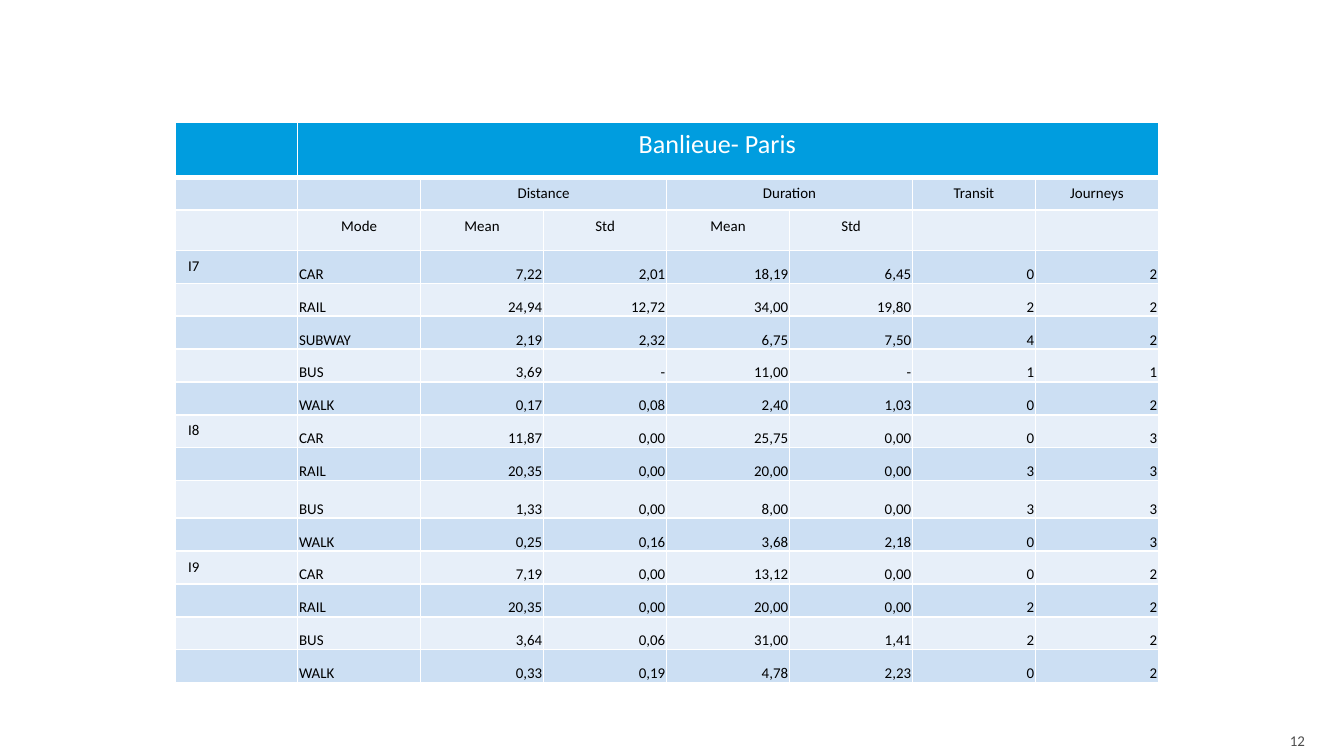
import pptx
import pptx.util
import pptx.dml.color
import pptx.enum.text
import pptx.oxml.ns
import lxml.etree

Inches = pptx.util.Inches
Pt = pptx.util.Pt
ALIGN = pptx.enum.text.PP_ALIGN
ANCHOR = pptx.enum.text.MSO_ANCHOR
qn = pptx.oxml.ns.qn

COLORS = {
    "header": "009DDF",
    "band_dark": "CCDFF3",
    "band_light": "E7EFF9",
    "white": "FFFFFF",
    "text": "000000",
    "page": "4E4E4E",
}

TITLE = "Banlieue- Paris"
GROUPS = ["", "", "Distance", "", "Duration", "", "Transit", "Journeys"]
MEASURES = ["", "Mode", "Mean", "Std", "Mean", "Std", "", ""]
TRIPS = {
    "I7": [
        ["CAR", "7,22", "2,01", "18,19", "6,45", "0", "2"],
        ["RAIL", "24,94", "12,72", "34,00", "19,80", "2", "2"],
        ["SUBWAY", "2,19", "2,32", "6,75", "7,50", "4", "2"],
        ["BUS", "3,69", "-", "11,00", "-", "1", "1"],
        ["WALK", "0,17", "0,08", "2,40", "1,03", "0", "2"],
    ],
    "I8": [
        ["CAR", "11,87", "0,00", "25,75", "0,00", "0", "3"],
        ["RAIL", "20,35", "0,00", "20,00", "0,00", "3", "3"],
        ["BUS", "1,33", "0,00", "8,00", "0,00", "3", "3"],
        ["WALK", "0,25", "0,16", "3,68", "2,18", "0", "3"],
    ],
    "I9": [
        ["CAR", "7,19", "0,00", "13,12", "0,00", "0", "2"],
        ["RAIL", "20,35", "0,00", "20,00", "0,00", "2", "2"],
        ["BUS", "3,64", "0,06", "31,00", "1,41", "2", "2"],
        ["WALK", "0,33", "0,19", "4,78", "2,23", "0", "2"],
    ],
}
SLIDE_WIDTH = 10
SLIDE_HEIGHT = SLIDE_WIDTH * 9 / 16
TABLE_WIDTH, TABLE_HEIGHT = 7.32, 4.17
SPECIAL_HEIGHTS = {0: 0.41, 2: 0.3, 10: 0.28}


class SlideWriter:
    font_name = "Calibri"

    def __init__(self, slide):
        self.slide = slide

    def style(self, paragraph, size, color, align):
        paragraph.alignment = align
        paragraph.font.name = self.font_name
        paragraph.font.size = Pt(size)
        paragraph.font.color.rgb = pptx.dml.color.RGBColor.from_string(COLORS[color])

    def text(self, words, left, top, width, height, size, color):
        frame = self.slide.shapes.add_textbox(
            Inches(left), Inches(top), Inches(width), Inches(height)
        ).text_frame
        frame.word_wrap = True
        frame.vertical_anchor = ANCHOR.MIDDLE
        frame.margin_right = 0
        frame.text = words
        self.style(frame.paragraphs[0], size, color, ALIGN.RIGHT)

    def table(self, left, top, width, height, row_count, column_count, special_heights):
        table = self.slide.shapes.add_table(
            row_count, column_count, Inches(left), Inches(top), Inches(width), Inches(height)
        ).table
        table.first_row = table.horz_banding = False
        regular = (height - sum(special_heights.values())) / (row_count - len(special_heights))
        for index, row in enumerate(table.rows):
            row.height = Inches(special_heights.get(index, regular))
        for column in table.columns:
            column.width = Inches(width / column_count)
        return table

    def borders(self, cell, bottom, top):
        properties = cell._tc.get_or_add_tcPr()
        for side, weight in (("L", 1), ("R", 1), ("T", top), ("B", bottom)):
            line = lxml.etree.SubElement(properties, qn(f"a:ln{side}"), w=str(Pt(weight)))
            fill = lxml.etree.SubElement(line, qn("a:solidFill"))
            lxml.etree.SubElement(fill, qn("a:srgbClr"), val=COLORS["white"])

    def cell(self, cell, words, fill, align, size=8, color="text", bottom=1, top=1):
        self.borders(cell, bottom, top)
        cell.fill.solid()
        cell.fill.fore_color.rgb = pptx.dml.color.RGBColor.from_string(COLORS[fill])
        cell.text = words
        paragraph = cell.text_frame.paragraphs[0]
        self.style(paragraph, size, color, align)
        if not words:
            lxml.etree.SubElement(paragraph._p, qn("a:endParaRPr"), sz=str(size * 100))

    def value(self, cell, words, fill, align):
        self.cell(cell, words, fill, align)
        cell.vertical_anchor = ANCHOR.BOTTOM
        cell.margin_left = cell.margin_right = cell.margin_top = Inches(0.01)
        cell.margin_bottom = 0


def main():
    presentation = pptx.Presentation()
    presentation.slide_width = Inches(SLIDE_WIDTH)
    presentation.slide_height = Inches(SLIDE_HEIGHT)
    writer = SlideWriter(presentation.slides.add_slide(presentation.slide_layouts[6]))
    writer.text("12", 8.8, 5.39, 0.91, 0.24, 8, "page")

    trip_rows = [
        [trip if index == 0 else "", *values]
        for trip, modes in TRIPS.items()
        for index, values in enumerate(modes)
    ]
    heading_rows = [["", TITLE] + [""] * 6, GROUPS, MEASURES]
    rows = heading_rows + trip_rows
    table = writer.table(
        1.3, 0.91, TABLE_WIDTH, TABLE_HEIGHT, len(rows), len(GROUPS), SPECIAL_HEIGHTS
    )

    for row, entries in enumerate(rows):
        band = "band_dark" if row % 2 else "band_light"
        for column, words in enumerate(entries):
            cell = table.cell(row, column)
            if row == 0:
                size = 14 if words else 18
                writer.cell(cell, words, "header", ALIGN.CENTER, size, "white", bottom=3)
            elif row < len(heading_rows):
                writer.cell(cell, words, band, ALIGN.CENTER, top=3 if row == 1 else 1)
            elif column == 0:
                writer.cell(cell, words, band, ALIGN.LEFT)
            else:
                writer.value(cell, words, band, ALIGN.LEFT if column == 1 else ALIGN.RIGHT)

    table.cell(0, 1).margin_right = Inches(0.26)
    for row, first, last in ((0, 1, 7), (1, 2, 3), (1, 4, 5)):
        table.cell(row, first).merge(table.cell(row, last))

    presentation.save("out.pptx")


if __name__ == "__main__":
    main()
